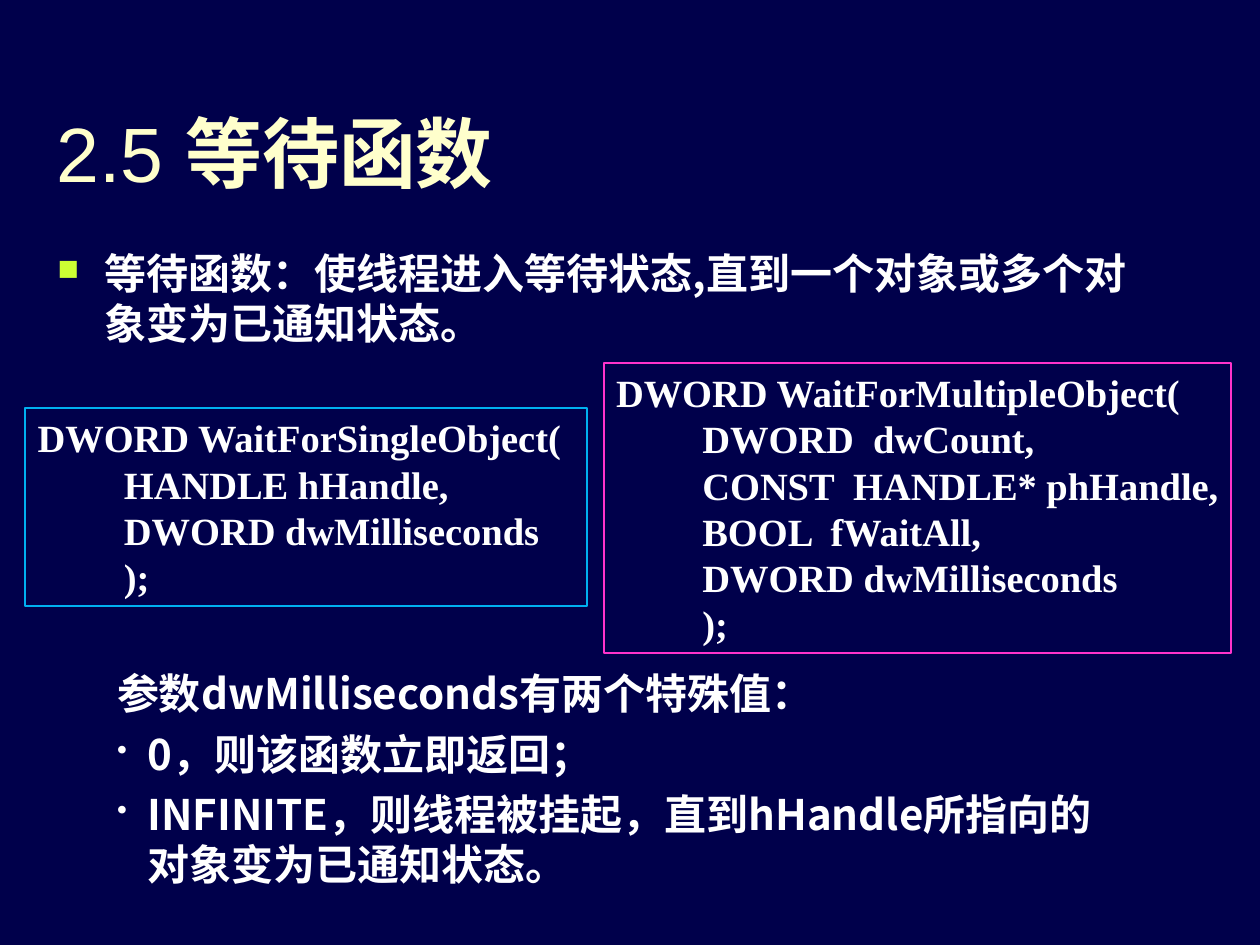
import pptx
import pptx.util
import pptx.dml.color
import pptx.enum.shapes
import pptx.enum.text
import pptx.oxml.ns
import lxml.etree

Cm, Pt = pptx.util.Cm, pptx.util.Pt
ANCHOR = pptx.enum.text.MSO_ANCHOR
SANS, SERIF, TITLE = "Noto Sans CJK SC", "Times New Roman", "Arial"
WHITE = "FFFFFF"

# Content
title_parts = [("2.5 ", False), ("等待函数", True)]
definition = "等待函数：使线程进入等待状态,直到一个对象或多个对象变为已通知状态。"
values_heading = "参数dwMilliseconds有两个特殊值："
values = ["0，则该函数立即返回；",
          "INFINITE，则线程被挂起，直到hHandle所指向的对象变为已通知状态。"]
prototypes = [
    dict(at=(0.51, 8.23, 11.33, 3.99), line="00B0F0", wrap=True,
         head="DWORD WaitForSingleObject(",
         args=["HANDLE hHandle,", "DWORD dwMilliseconds", ");"]),
    dict(at=(12.17, 7.32, 12.65, 5.84), line="FF33CC", wrap=False,
         head="DWORD WaitForMultipleObject(",
         args=["DWORD  dwCount,", "CONST  HANDLE* phHandle,",
               "BOOL  fWaitAll,", "DWORD dwMilliseconds", ");"]),
]


def color(value):
    return pptx.dml.color.RGBColor.from_string(value)


def format_run(r, size, font, fill=WHITE, bold=True):
    r.font.size, r.font.name, r.font.bold = Pt(size), font, bold
    r.font.color.rgb = color(fill)
    ea = lxml.etree.SubElement(r.font._element, pptx.oxml.ns.qn("a:ea"))
    ea.set("typeface", SANS)


def indent(p, left, first=0):
    pPr = p._p.get_or_add_pPr()
    pPr.set("marL", str(Cm(left)))
    pPr.set("indent", str(Cm(first)))
    return pPr


def add_bullet(p, char, fill, hang):
    pPr = indent(p, hang, -hang)
    for tag, child, val in (("buClr", "srgbClr", fill), ("buSzPct", None, "70000")):
        el = lxml.etree.SubElement(pPr, pptx.oxml.ns.qn("a:" + tag))
        if child:
            el = lxml.etree.SubElement(el, pptx.oxml.ns.qn("a:" + child))
        el.set("val", val)
    el = lxml.etree.SubElement(pPr, pptx.oxml.ns.qn("a:buChar"))
    el.set("char", char)


def add_text_box(at, anchor=ANCHOR.TOP):
    tf = slide.shapes.add_textbox(*map(Cm, at)).text_frame
    tf.word_wrap = True
    tf.vertical_anchor = anchor
    return tf


def fill_paragraphs(tf, lines, size, font, pitch, before=0):
    tf.text = "\n".join(lines)
    for p in tf.paragraphs:
        p.alignment = pptx.enum.text.PP_ALIGN.LEFT
        p.line_spacing, p.space_before = Pt(pitch), Pt(before)
        format_run(p.runs[0], size, font)
    return tf.paragraphs


prs = pptx.Presentation()
prs.slide_width, prs.slide_height = Cm(25.4), Cm(19.05)
slide = prs.slides.add_slide(prs.slide_layouts[6])
slide.background.fill.solid()
slide.background.fill.fore_color.rgb = color("00004B")

# Title
p = add_text_box((0.89, 1.98, 24, 2.13), ANCHOR.BOTTOM).paragraphs[0]
p.line_spacing = Pt(52.4)
for text, bold in title_parts:
    r = p.add_run()
    r.text = text
    format_run(r, 44, TITLE, "FFFFCC", bold)

# Definition
tf = add_text_box((0.91, 4.88, 22.61, 3.38))
p, = fill_paragraphs(tf, [definition], 24, SANS, 28.6, 6)
add_bullet(p, "■", "CCFF33", 0.95)

# Function prototypes
for proto in prototypes:
    sp = slide.shapes.add_shape(pptx.enum.shapes.MSO_SHAPE.RECTANGLE,
                                *map(Cm, proto["at"]))
    sp.shadow.inherit = False
    sp.fill.background()
    sp.line.color.rgb = color(proto["line"])
    sp.line.width = Pt(1)
    tf = sp.text_frame
    tf.word_wrap = proto["wrap"]
    tf.vertical_anchor = ANCHOR.TOP
    lines = [proto["head"]] + proto["args"]
    for p in fill_paragraphs(tf, lines, 22, SERIF, 26.4)[1:]:
        indent(p, 1.74)

# Special parameter values
tf = add_text_box((2.11, 13.34, 20.19, 4.75))
for p in fill_paragraphs(tf, [values_heading] + values, 24, SANS, 28.6, 6)[1:]:
    add_bullet(p, "•", WHITE, 0.61)

prs.save("out.pptx")
